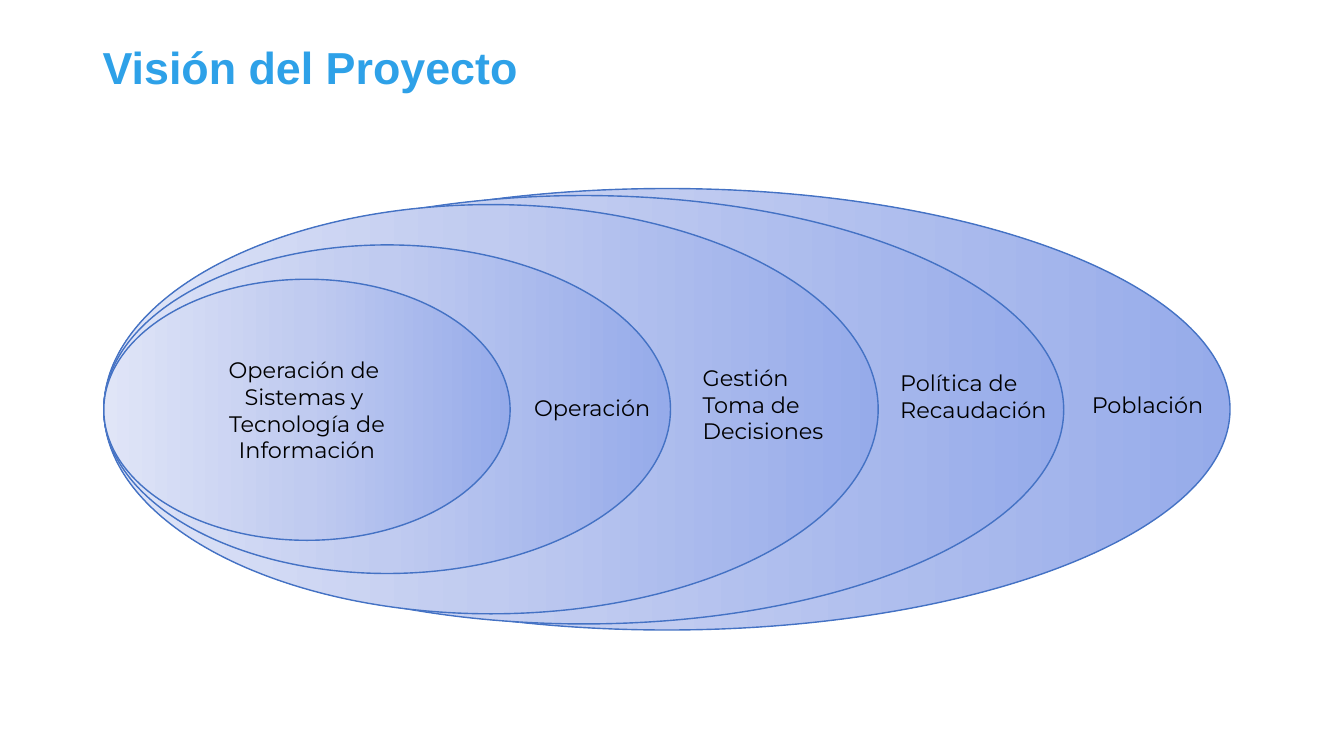
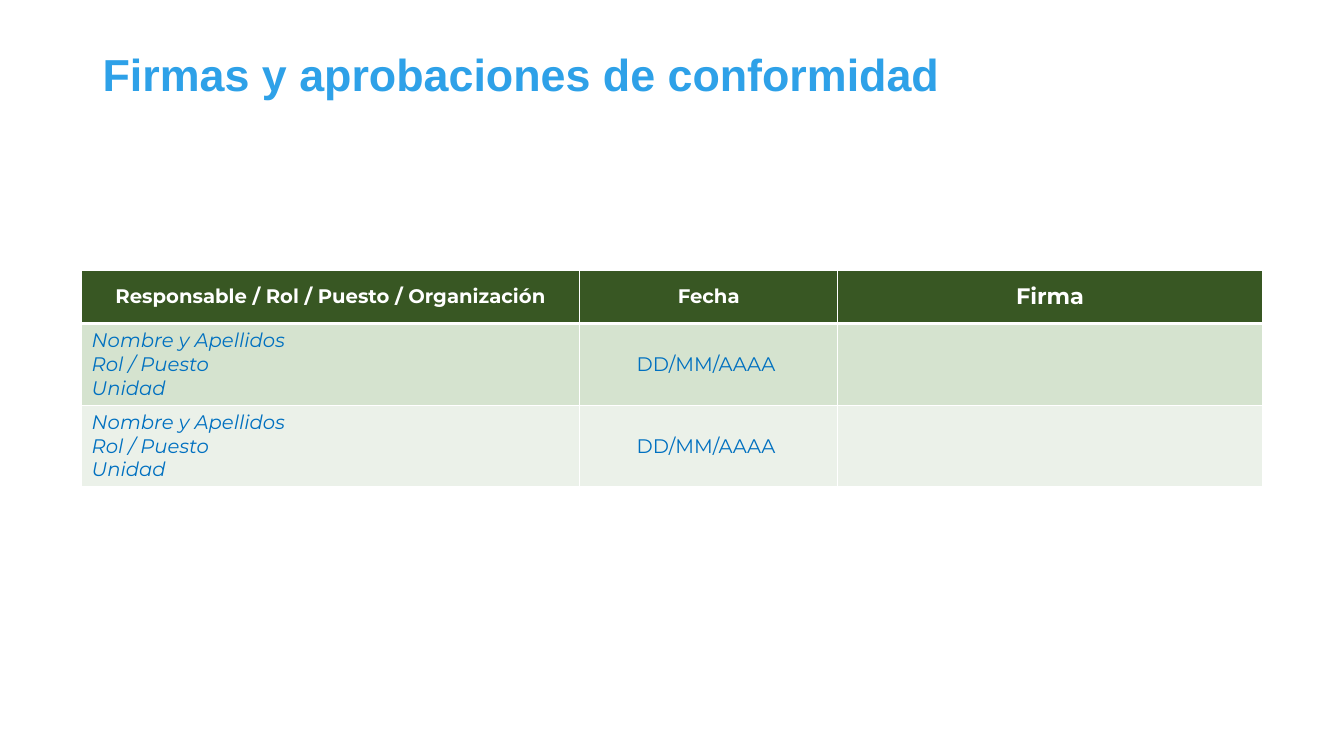
from dataclasses import dataclass

from pptx import Presentation
from pptx.dml.color import RGBColor
from pptx.enum.shapes import MSO_SHAPE as Shape
from pptx.enum.text import MSO_ANCHOR as Anchor, PP_ALIGN as Align
from pptx.oxml import parse_xml
from pptx.oxml.ns import nsdecls
from pptx.slide import Slide
from pptx.table import _Cell as Cell
from pptx.text.text import TextFrame
from pptx.util import Emu, Pt

# Scale: 100 px to the inch
PX = 9144
PAGE_WIDTH, PAGE_HEIGHT = 1333, 750

TITLE_FONT, BODY_FONT = "Arial", "Montserrat"
WHITE = RGBColor(0xFF, 0xFF, 0xFF)
BLACK = RGBColor(0x00, 0x00, 0x00)
TITLE_BLUE = RGBColor(0x2E, 0xA1, 0xE8)
OUTLINE_BLUE = RGBColor(0x44, 0x72, 0xC4)
ENTRY_BLUE = RGBColor(0x00, 0x70, 0xC0)
HEADER_GREEN = RGBColor(0x38, 0x57, 0x23)
ROW_GREENS = (RGBColor(0xD5, 0xE3, 0xCF), RGBColor(0xEB, 0xF1, 0xE9))
# Gradient stops in percent, running from right to left
GRADIENT = (
    (0, RGBColor(0x96, 0xAB, 0xEA)),
    (50, RGBColor(0xC0, 0xCB, 0xF0)),
    (100, RGBColor(0xE0, 0xE5, 0xF7)),
)


@dataclass(frozen=True)
class TextStyle:
    size: int
    color: RGBColor
    font: str = BODY_FONT
    bold: bool = False
    italic: bool = False
    align: Align = Align.LEFT
    spacing: float = 1.0


@dataclass(frozen=True)
class Label:
    left: int
    top: int
    width: int
    height: int
    lines: tuple[str, ...]
    wrap: bool = True


@dataclass(frozen=True)
class Column:
    heading: str
    width: int
    heading_size: int
    entry: tuple[str, ...]
    entry_style: TextStyle


TITLE = TextStyle(32, TITLE_BLUE, TITLE_FONT, bold=True, spacing=0.9)
LABEL = TextStyle(16, BLACK)
CORE = TextStyle(16, BLACK, align=Align.CENTER)
PERSON = TextStyle(14, ENTRY_BLUE, italic=True)
DATE = TextStyle(14, ENTRY_BLUE, align=Align.CENTER)

# Nested ellipses share their left edge and middle line; largest first
RINGS_LEFT, RINGS_MIDDLE = 103, 406
RINGS = ((1117, 438), (952, 425), (768, 406), (562, 326), (403, 259))
CORE_LINES = ("Operación de ", "Sistemas y ", "Tecnología de Información")
LABELS = (
    Label(520, 386, 138, 37, ("Operación",), wrap=False),
    Label(687, 356, 161, 91, ("Gestión", "Toma de Decisiones")),
    Label(883, 361, 172, 64, ("Política de", "Recaudación")),
    Label(1073, 383, 161, 37, ("Población",)),
)

TABLE_LEFT, TABLE_TOP = 81, 268
HEADER_HEIGHT, ROW_HEIGHT = 53, 81
COLUMNS = (
    Column("Responsable / Rol / Puesto / Organización", 494, 14,
           ("Nombre y Apellidos", "Rol / Puesto", "Unidad"), PERSON),
    Column("Fecha", 256, 14, ("DD/MM/AAAA ",), DATE),
    Column("Firma", 421, 16, (), DATE),
)


def px(*lengths: int) -> list[Emu]:
    return [Emu(length * PX) for length in lengths]


def write(frame: TextFrame, lines: tuple[str, ...], style: TextStyle) -> None:
    for index, line in enumerate(lines):
        para = frame.paragraphs[0] if index == 0 else frame.add_paragraph()
        para.text = line
        para.alignment = style.align
        para.line_spacing = style.spacing
        font = para.font
        font.name, font.size = style.font, Pt(style.size)
        font.bold, font.italic = style.bold, style.italic
        font.color.rgb = style.color


def add_label(page: Slide, label: Label, style: TextStyle,
              anchor: Anchor = Anchor.TOP) -> None:
    box = page.shapes.add_textbox(
        *px(label.left, label.top, label.width, label.height))
    box.text_frame.word_wrap = label.wrap
    box.text_frame.vertical_anchor = anchor
    write(box.text_frame, label.lines, style)


def add_title(page: Slide, text: str, top: int) -> None:
    add_label(page, Label(92, top, 984, 63, (text,)), TITLE, Anchor.MIDDLE)


def add_ring(page: Slide, width: int, height: int) -> TextFrame:
    ring = page.shapes.add_shape(
        Shape.OVAL,
        *px(RINGS_LEFT, RINGS_MIDDLE - height // 2, width, height))
    ring.shadow.inherit = False
    stops = "".join(
        f'<a:gs pos="{percent * 1000}"><a:srgbClr val="{color}"/></a:gs>'
        for percent, color in GRADIENT)
    gradient = parse_xml(
        f'<a:gradFill {nsdecls("a")} rotWithShape="1"><a:gsLst>{stops}</a:gsLst>'
        '<a:lin ang="10800000" scaled="0"/></a:gradFill>')
    # The fill follows the position and the geometry
    ring._element.spPr.insert(2, gradient)
    ring.line.color.rgb = OUTLINE_BLUE
    ring.line.width = Pt(1)
    ring.text_frame.word_wrap = True
    ring.text_frame.vertical_anchor = Anchor.MIDDLE
    return ring.text_frame


def style_cell(cell: Cell, fill: RGBColor, top: int = 1, bottom: int = 1) -> None:
    cell.fill.solid()
    cell.fill.fore_color.rgb = fill
    cell.vertical_anchor = Anchor.MIDDLE
    borders = (("L", 1), ("R", 1), ("T", top), ("B", bottom))
    for index, (side, points) in enumerate(borders):
        border = parse_xml(
            f'<a:ln{side} {nsdecls("a")} w="{Pt(points)}"><a:solidFill>'
            f'<a:srgbClr val="{WHITE}"/></a:solidFill></a:ln{side}>')
        cell._tc.get_or_add_tcPr().insert(index, border)


def add_signature_table(page: Slide) -> None:
    width = sum(column.width for column in COLUMNS)
    height = HEADER_HEIGHT + ROW_HEIGHT * len(ROW_GREENS)
    table = page.shapes.add_table(
        len(ROW_GREENS) + 1, len(COLUMNS),
        *px(TABLE_LEFT, TABLE_TOP, width, height)).table
    for row in table.rows:
        row.height = Emu(ROW_HEIGHT * PX)
    table.rows[0].height = Emu(HEADER_HEIGHT * PX)

    for index, column in enumerate(COLUMNS):
        table.columns[index].width = Emu(column.width * PX)
        header = table.cell(0, index)
        style_cell(header, HEADER_GREEN, bottom=3)
        header.margin_left, header.margin_right = px(7, 7)
        header.margin_top = header.margin_bottom = Emu(0)
        write(header.text_frame, (column.heading,),
              TextStyle(column.heading_size, WHITE, bold=True, align=Align.CENTER))
        for row_number, green in enumerate(ROW_GREENS, start=1):
            cell = table.cell(row_number, index)
            style_cell(cell, green, top=3 if row_number == 1 else 1)
            write(cell.text_frame, column.entry, column.entry_style)


def build_vision(page: Slide) -> None:
    add_title(page, "Visión del Proyecto", 38)
    frames = [add_ring(page, width, height) for width, height in RINGS]
    write(frames[-1], CORE_LINES, CORE)
    for label in LABELS:
        add_label(page, label, LABEL)


def build_signatures(page: Slide) -> None:
    add_title(page, "Firmas y aprobaciones de conformidad", 45)
    add_signature_table(page)


def main() -> None:
    deck = Presentation()
    deck.slide_width, deck.slide_height = px(PAGE_WIDTH, PAGE_HEIGHT)
    blank = deck.slide_layouts[6]
    for build in (build_vision, build_signatures):
        build(deck.slides.add_slide(blank))
    deck.save("out.pptx")


if __name__ == "__main__":
    main()
